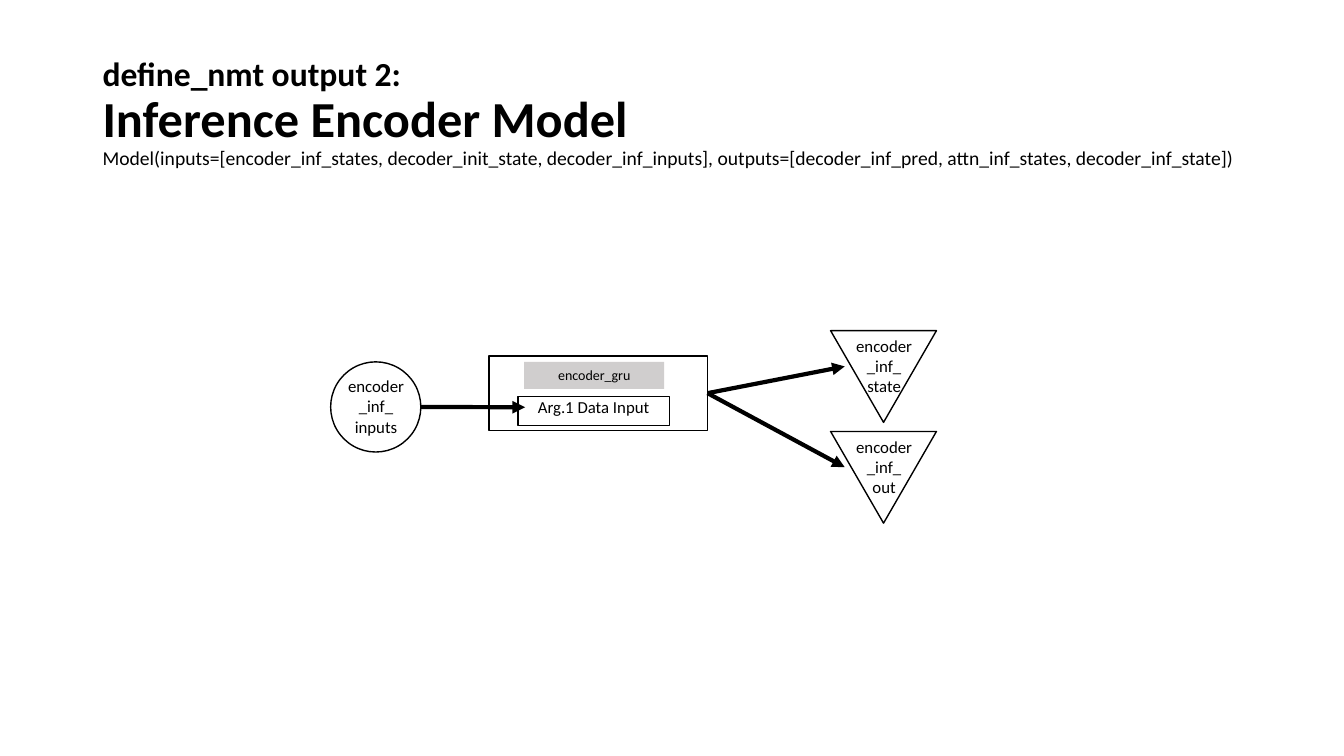
"""Build the slide that shows the inference encoder model as a small flow diagram."""
from lxml.etree import SubElement
from pptx import Presentation
from pptx.dml.color import RGBColor
from pptx.enum.shapes import MSO_CONNECTOR, MSO_SHAPE
from pptx.enum.text import MSO_ANCHOR, MSO_AUTO_SIZE, PP_ALIGN
from pptx.oxml.ns import qn
from pptx.util import Pt

BLACK, GREY = "000000", "D0CECE"
FONT = "Calibri"

TITLE_AREA = (66.2, 28.8, 828, 104.4)
TITLE = [
    ("define_nmt output 2:", {"size": Pt(24), "bold": True}),
    ("Inference Encoder Model", {"size": Pt(36), "bold": True}),
    ("Model(inputs=[encoder_inf_states, decoder_init_state, decoder_inf_inputs], "
     "outputs=[decoder_inf_pred, attn_inf_states, decoder_inf_state])",
     {"size": Pt(14), "bold": False}),
]

LAYER_AREA = (349.2, 254.2, 156.2, 53.3)
ARGUMENT_AREA = (370.1, 283, 108, 20.9)
ARGUMENT_LABEL_AREA = (375.1, 280.1, 97.9, 21.6)
NAME_AREA = (374.4, 258.5, 100.1, 19.4)
INPUT_AREA = (236.2, 258.5, 64.4, 64.4)
INPUT_LABEL_AT = (240.5, 265)
INPUT_LINES = ["encoder_inf_", "inputs"]
LABEL_SIZE = (56.2, 51.1)

OUTPUTS = [["encoder_inf_", "state"], ["encoder_inf_", "out"]]
OUTPUT_AREA = (593.3, 236.2, 75.6, 65.5)
OUTPUT_LABEL_LEFT = 603.4
OUTPUT_STEP = 72


def color(value):
    """Turn a hex string into a colour."""
    return RGBColor.from_string(value)


def apply(target, values):
    """Set each attribute named in a dict of format values."""
    for name, value in values.items():
        setattr(target, name, value)


def add_span(para, text, values):
    """Add a run of black text in the slide font."""
    span = para.add_run()
    span.text = text
    apply(span.font, {"name": FONT, **values})
    span.font.color.rgb = color(BLACK)


def fill_text(box, lines, size):
    """Write centred lines from the top of a box."""
    frame = box.text_frame
    apply(frame, {"word_wrap": True, "vertical_anchor": MSO_ANCHOR.TOP,
                  "auto_size": MSO_AUTO_SIZE.SHAPE_TO_FIT_TEXT})
    for index, line in enumerate(lines):
        para = frame.add_paragraph() if index else frame.paragraphs[0]
        para.alignment = PP_ALIGN.CENTER
        add_span(para, line, {"size": Pt(size)})


def add_label(page, area, lines):
    """Add a text box with centred lines."""
    fill_text(page.shapes.add_textbox(*map(Pt, area)), lines, 12)


def add_block(page, kind, area, fill=None, rotation=0):
    """Add an outlined shape, or a filled one without an outline."""
    block = page.shapes.add_shape(kind, *map(Pt, area))
    block.shadow.inherit = False
    block.rotation = rotation
    if fill:
        block.fill.solid()
        block.fill.fore_color.rgb = color(fill)
        block.line.fill.background()
    else:
        block.fill.background()
        block.line.color.rgb = color(BLACK)
        block.line.width = Pt(1)
    return block


def add_arrow(page, start, end):
    """Add a thick arrow between two points."""
    arrow = page.shapes.add_connector(MSO_CONNECTOR.STRAIGHT, *map(Pt, start + end))
    arrow.line.color.rgb = color(BLACK)
    arrow.line.width = Pt(3)
    SubElement(arrow.line._get_or_add_ln(), qn("a:tailEnd"), type="triangle")
    SubElement(arrow._element.spPr, qn("a:effectLst"))


def right_middle(area):
    """Give the middle of the right edge of an area."""
    left, top, width, height = area
    return left + width, top + height / 2


def left_middle(area):
    """Give the middle of the left edge of an area."""
    left, top, _, height = area
    return left, top + height / 2


def add_title(page):
    """Add the heading as one paragraph of three lines."""
    frame = page.shapes.add_textbox(*map(Pt, TITLE_AREA)).text_frame
    apply(frame, {"word_wrap": True, "vertical_anchor": MSO_ANCHOR.MIDDLE})
    para = frame.paragraphs[0]
    para.line_spacing = 0.9
    for index, (text, values) in enumerate(TITLE):
        if index:
            para.add_line_break()
        add_span(para, text, values)


def add_diagram(page):
    """Add the input, the layer and its outputs."""
    add_block(page, MSO_SHAPE.RECTANGLE, LAYER_AREA)
    add_block(page, MSO_SHAPE.RECTANGLE, ARGUMENT_AREA)
    add_label(page, ARGUMENT_LABEL_AREA, ["Arg.1 Data Input"])
    fill_text(add_block(page, MSO_SHAPE.RECTANGLE, NAME_AREA, GREY), ["encoder_gru"], 10)
    add_label(page, INPUT_LABEL_AT + LABEL_SIZE, INPUT_LINES)
    add_block(page, MSO_SHAPE.OVAL, INPUT_AREA)
    add_arrow(page, right_middle(INPUT_AREA), left_middle(ARGUMENT_LABEL_AREA))
    left, first_top, width, height = OUTPUT_AREA
    for index, lines in enumerate(OUTPUTS):
        top = first_top + index * OUTPUT_STEP
        label_area = (OUTPUT_LABEL_LEFT, top) + LABEL_SIZE
        add_block(page, MSO_SHAPE.ISOSCELES_TRIANGLE, (left, top, width, height), rotation=180)
        add_label(page, label_area, lines)
        add_arrow(page, right_middle(LAYER_AREA), left_middle(label_area))


def main():
    """Create the deck and save it."""
    deck = Presentation()
    apply(deck, {"slide_width": Pt(960), "slide_height": Pt(540)})
    page = deck.slides.add_slide(deck.slide_layouts[6])
    add_title(page)
    add_diagram(page)
    deck.save("out.pptx")


if __name__ == "__main__":
    main()
